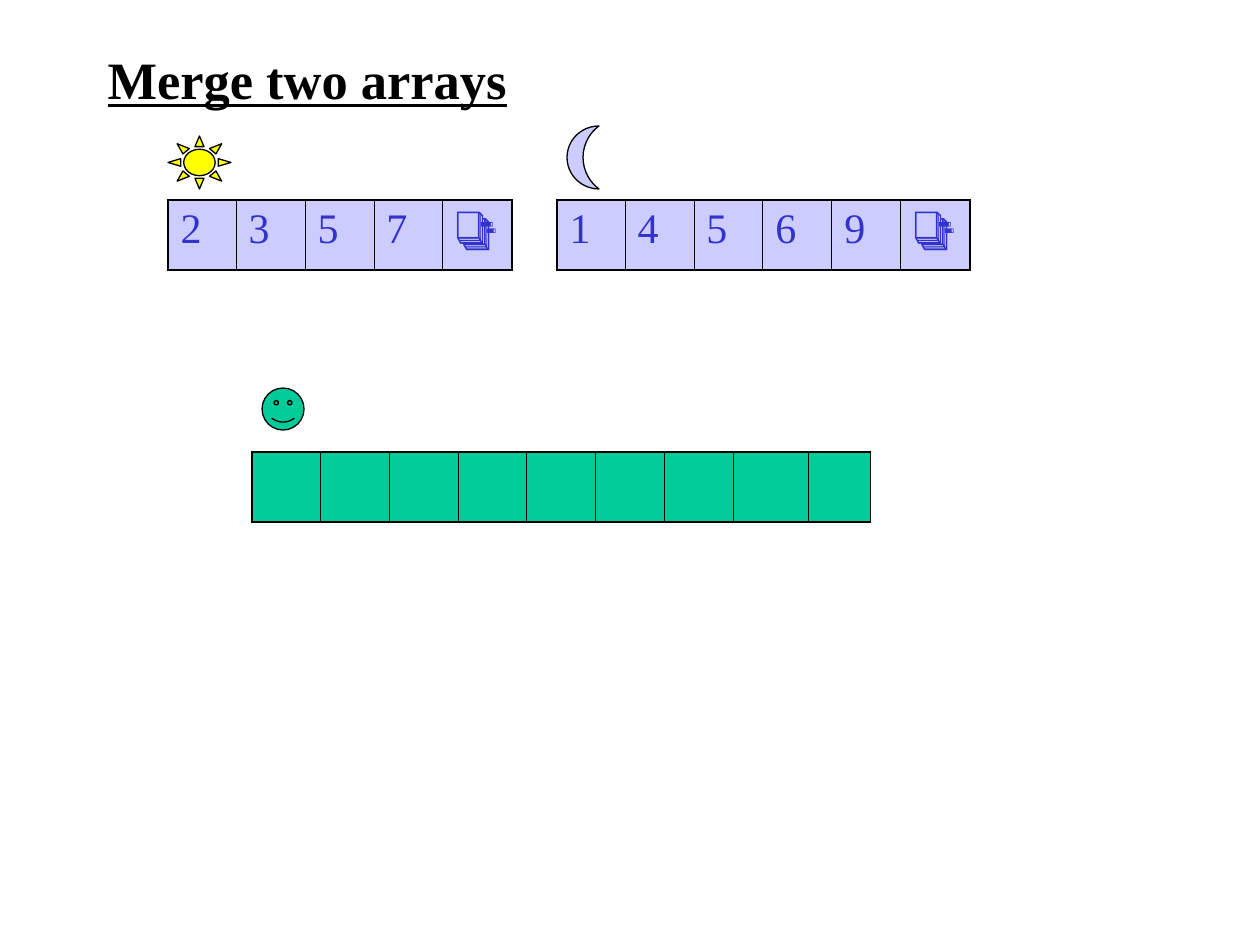
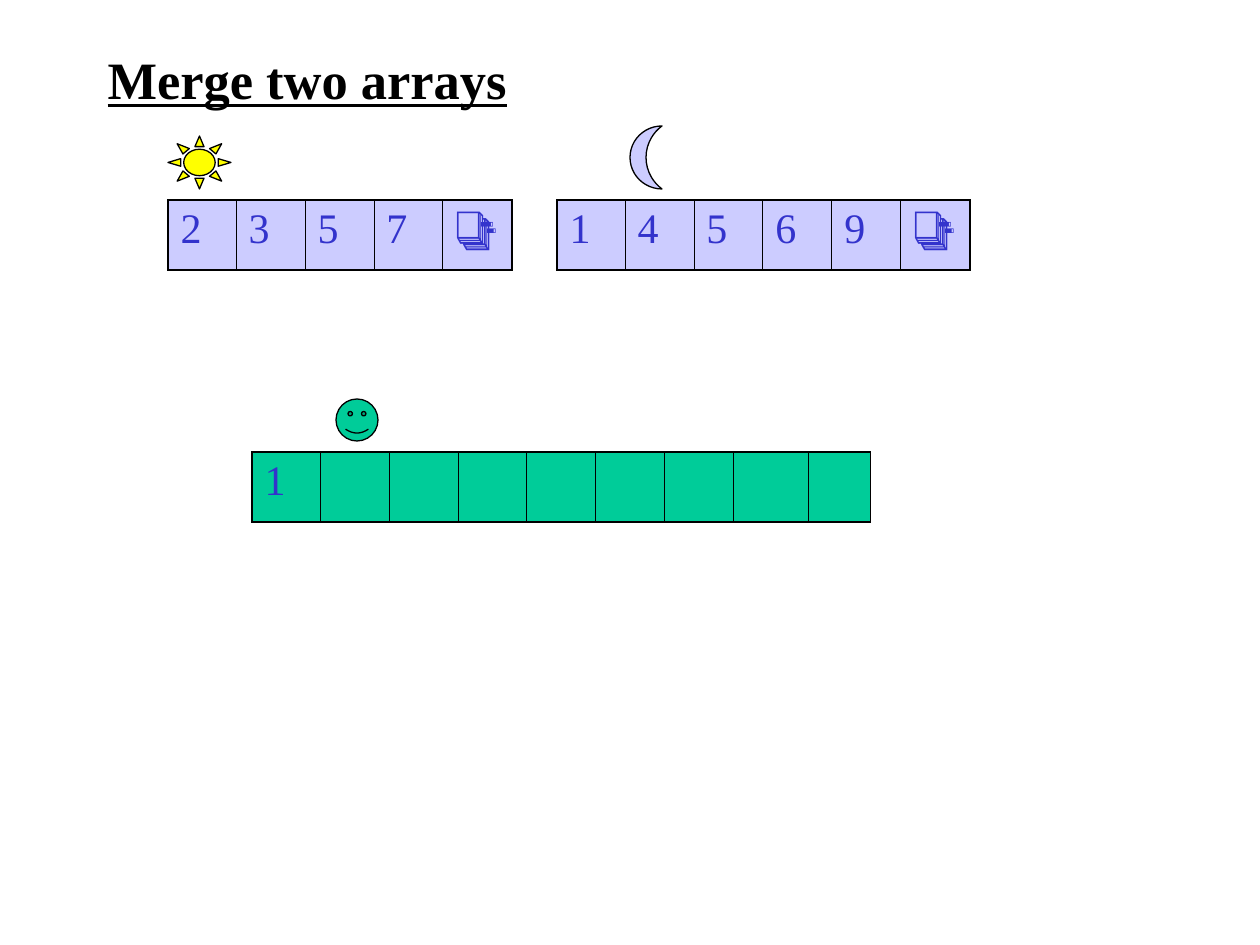
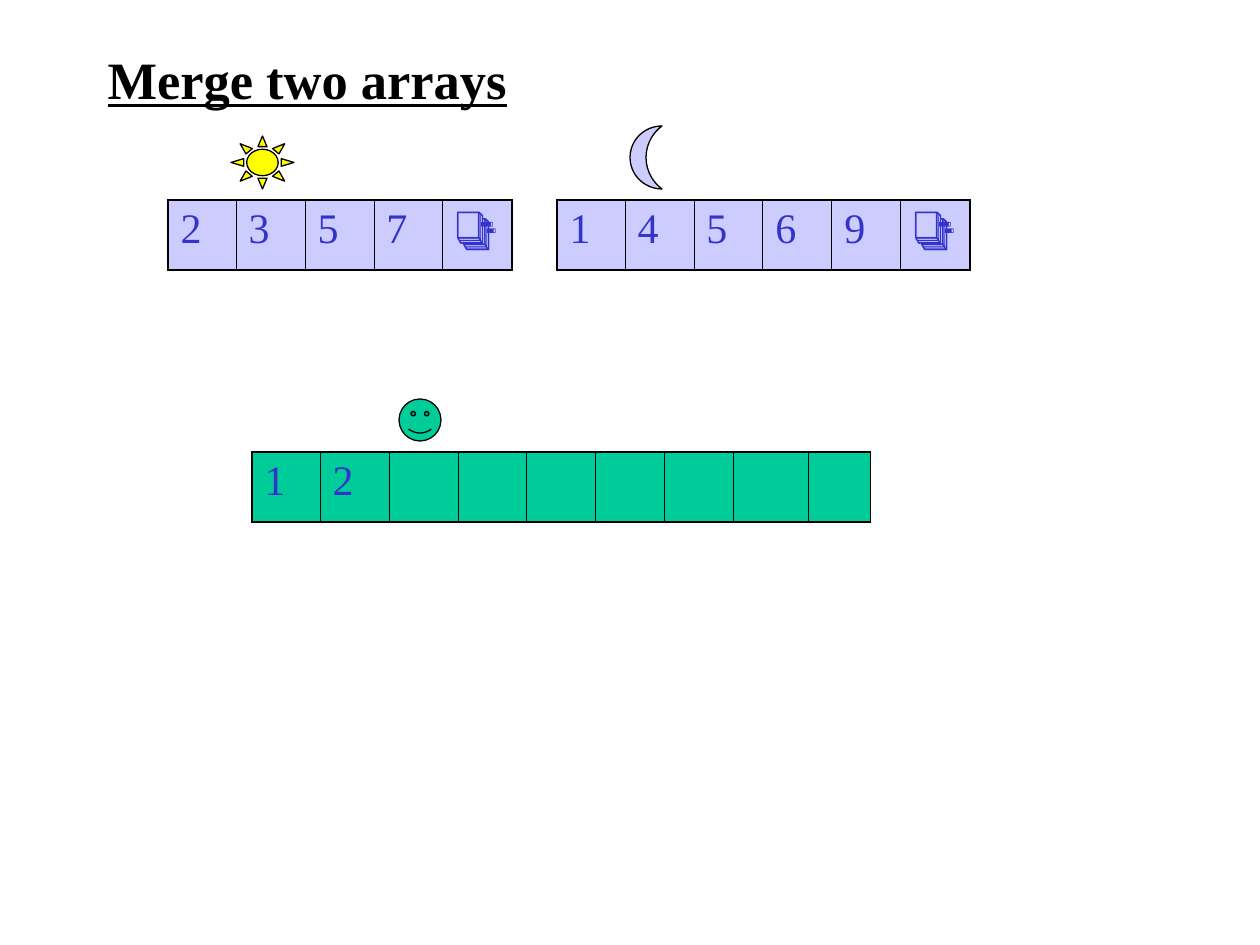
from pptx import Presentation
from pptx import util as u
from pptx.dml.color import RGBColor
from pptx.enum import shapes, text
from pptx.oxml import ns
from lxml import etree

PX = u.Inches(1) / 126
C = {"ink": "000000", "digit": "3333CC", "lilac": "CCCCFF", "green": "00CC99", "sun": "FFFF00"}
FONT = "Times New Roman"
TITLE_FONT = {"name": FONT, "size": u.Pt(30), "bold": True, "underline": True}
DIGIT_FONT = {"name": FONT, "size": u.Pt(24), "bold": False}
COLS = [68, 69, 69, 69, 69, 69, 69, 75, 62]
ROW_H = 70
END = "📑"
SHAPE = shapes.MSO_SHAPE


def px(*lengths):
    return [round(n * PX) for n in lengths]


def style(font, values, color):
    for name, value in values.items():
        setattr(font, name, value)
    font.color.rgb = RGBColor.from_string(C[color])


prs = Presentation()
prs.slide_width, prs.slide_height = px(1260, 945)

states = [
    {"merged": [], "sun": 168, "moon": 567, "face": (262, 388)},
    {"merged": ["1"], "sun": 168, "moon": 630, "face": (336, 399)},
    {"merged": ["1", "2"], "sun": 231, "moon": 630, "face": (399, 399)},
]

for state in states:
    s = prs.slides.add_slide(prs.slide_layouts[5])

    title = s.shapes.title
    title.left, title.top, title.width, title.height = px(95, 42, 850, 73)
    tf = title.text_frame
    tf.auto_size = text.MSO_AUTO_SIZE.NONE
    tf.vertical_anchor = text.MSO_ANCHOR.MIDDLE
    p = tf.paragraphs[0]
    p.alignment = text.PP_ALIGN.LEFT
    r = p.add_run()
    r.text = "Merge two arrays"
    style(r.font, TITLE_FONT, "ink")

    merged = state["merged"] + [""] * (len(COLS) - len(state["merged"]))
    arrays = [
        (168, 200, "lilac", ["2", "3", "5", "7", END]),
        (557, 200, "lilac", ["1", "4", "5", "6", "9", END]),
        (252, 452, "green", merged),
    ]
    for x, y, fill, values in arrays:
        n = len(values)
        table = s.shapes.add_table(1, n, *px(x, y, sum(COLS[:n]), ROW_H)).table
        table.first_row = table.horz_banding = False
        for i, value in enumerate(values):
            table.columns[i].width = px(COLS[i])[0]
            cell = table.cell(0, i)
            borders = {"lnL": 0.45 if i else 1.08, "lnR": 0.45 if i < n - 1 else 1.08,
                       "lnT": 1.08, "lnB": 1.08}
            tcPr = cell._tc.get_or_add_tcPr()
            for tag, width in borders.items():
                ln = etree.SubElement(tcPr, ns.qn(f"a:{tag}"), w=str(u.Pt(width)))
                solid = etree.SubElement(ln, ns.qn("a:solidFill"))
                etree.SubElement(solid, ns.qn("a:srgbClr"), val=C["ink"])
            cell.fill.solid()
            cell.fill.fore_color.rgb = RGBColor.from_string(C[fill])
            p = cell.text_frame.paragraphs[0]
            if value:
                r = p.add_run()
                r.text = value
                style(r.font, DIGIT_FONT, "digit")

    markers = [
        (SHAPE.MOON, (state["moon"], 126, 32, 63), "lilac"),
        (SHAPE.SMILEY_FACE, (*state["face"], 42, 42), "green"),
        (SHAPE.SUN, (state["sun"], 136, 63, 53), "sun"),
    ]
    for kind, box, fill in markers:
        sp = s.shapes.add_shape(kind, *px(*box))
        sp.shadow.inherit = False
        sp.fill.solid()
        sp.fill.fore_color.rgb = RGBColor.from_string(C[fill])
        sp.line.color.rgb = RGBColor.from_string(C["ink"])
        sp.line.width = u.Pt(0.75)

prs.save("out.pptx")
